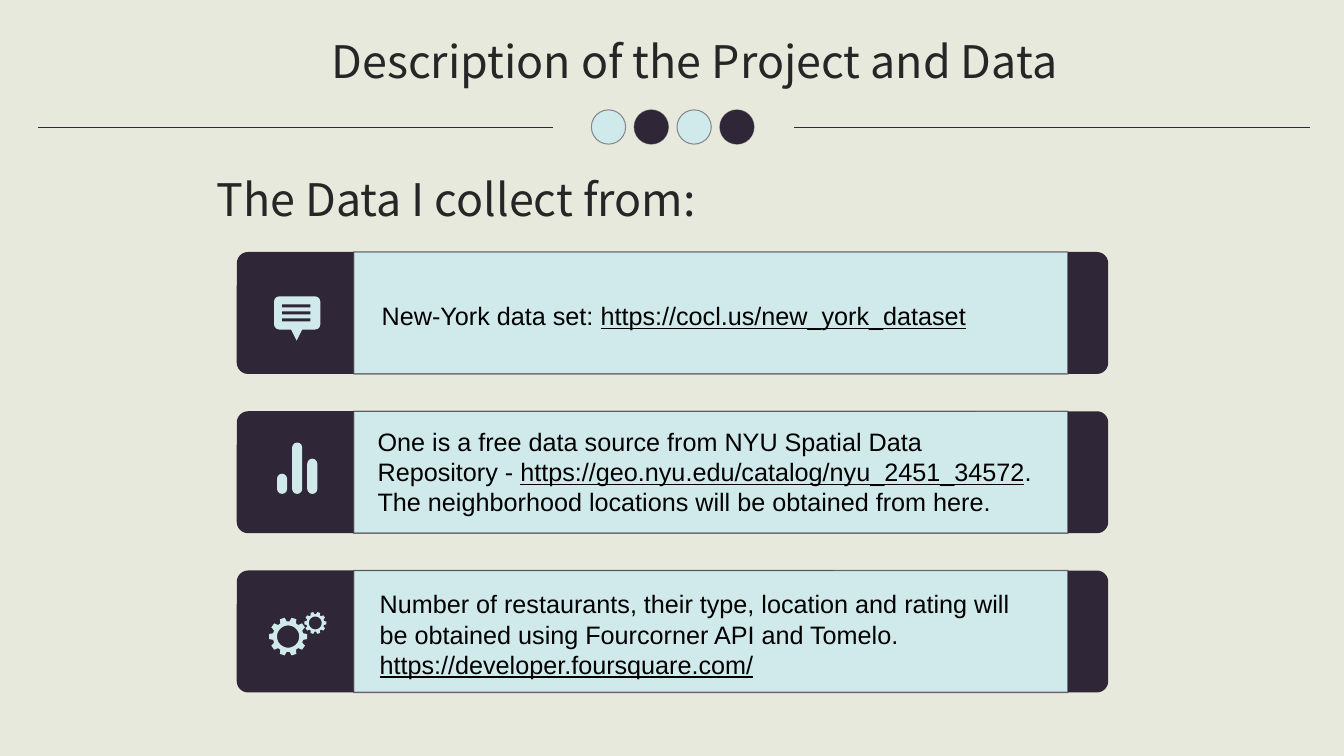
from math import cos, pi, sin

from lxml.etree import SubElement
from pptx import Presentation
from pptx.dml.color import RGBColor
from pptx.enum.shapes import MSO_CONNECTOR as Connector, MSO_SHAPE as Shape
from pptx.enum.text import MSO_ANCHOR as Anchor, PP_ALIGN as Align
from pptx.oxml.ns import qn
from pptx.util import Inches, Pt

CREAM = RGBColor(0xE7, 0xE9, 0xDC)
PLUM = RGBColor(0x2F, 0x26, 0x37)
ICE = RGBColor(0xD0, 0xEA, 0xEB)
CHARCOAL = RGBColor(0x26, 0x26, 0x26)
BLACK = RGBColor(0, 0, 0)

HEADING = {"name": "Noto Sans CJK SC", "size": Pt(32), "bold": False}
BODY = {"name": "Arial", "size": Pt(18)}


def format_font(font, values, color):
    for name, value in values.items():
        setattr(font, name, value)
    font.color.rgb = color


def paint(shape, fill, line_width=None, opacity=100):
    shape.shadow.inherit = False
    shape.fill.solid()
    shape.fill.fore_color.rgb = fill
    if line_width is None:
        shape.line.fill.background()
        return
    shape.line.color.rgb = PLUM
    shape.line.width = Pt(line_width)
    color = shape.line._ln.find(".//" + qn("a:srgbClr"))
    SubElement(color, qn("a:alpha"), val=str(opacity * 1000))


def add_block(slide, kind, box, fill, radius=None, **outline):
    shape = slide.shapes.add_shape(kind, *map(Inches, box))
    if radius is not None:
        shape.adjustments[0] = radius
    paint(shape, fill, **outline)
    return shape


def write(shape, parts, values, color):
    """Fill a text shape with (text, underlined) parts."""
    frame = shape.text_frame
    frame.word_wrap = True
    frame.vertical_anchor = Anchor.TOP
    paragraph = frame.paragraphs[0]
    paragraph.alignment = Align.LEFT
    for text, underlined in parts:
        run = paragraph.add_run()
        run.text = text
        format_font(run.font, values, color)
        if underlined:
            run.font.underline = True


def add_text(slide, box, parts, values, color):
    shape = slide.shapes.add_textbox(*map(Inches, box))
    write(shape, parts, values, color)


def add_header(slide, left, top):
    # Title
    title = slide.shapes.title
    place = {"left": left + 2.81, "top": top, "width": 7.64, "height": 0.7}
    for name, value in place.items():
        setattr(title, name, Inches(value))
    write(title, [("Description of the Project and Data", False)], HEADING, CHARCOAL)

    # Divider: a line on each side of four dots
    middle = top + 0.98
    for start, end in ((0, 5.11), (7.5, 12.62)):
        line = slide.shapes.add_connector(
            Connector.STRAIGHT, Inches(left + start), Inches(middle),
            Inches(left + end), Inches(middle))
        line.line.color.rgb = PLUM
        line.line.width = Pt(0.5)
        SubElement(line._element.spPr, qn("a:effectLst"))
    size = 0.34
    for index, color in enumerate((ICE, PLUM, ICE, PLUM)):
        box = (left + 5.49 + index * 0.425, middle - size / 2, size, size)
        add_block(slide, Shape.OVAL, box, color, line_width=0.75, opacity=50)


def add_bubble_icon(slide, left, top):
    add_block(slide, Shape.FLOWCHART_MERGE, (left + 0.53, top + 0.75, 0.13, 0.13), ICE)
    add_block(slide, Shape.ROUNDED_RECTANGLE, (left + 0.37, top + 0.44, 0.46, 0.33),
              ICE, radius=0.16)
    for row in range(3):
        add_block(slide, Shape.RECTANGLE,
                  (left + 0.45, top + 0.52 + row * 0.07, 0.28, 0.03), PLUM)


def add_bars_icon(slide, left, top):
    for index, height in enumerate((0.2, 0.51, 0.35)):
        add_block(slide, Shape.ROUNDED_RECTANGLE,
                  (left + 0.4 + index * 0.15, top + 0.82 - height, 0.1, height),
                  ICE, radius=0.5)


def add_gear(slide, center_x, center_y, radius, teeth=10):
    def point(reach, angle):
        return (Inches(center_x + radius * reach * cos(angle)),
                Inches(center_y + radius * reach * sin(angle)))

    # Each tooth has two base corners and two tip corners
    corners = ((0.8, -0.22), (1, -0.13), (1, 0.13), (0.8, 0.22))
    outline = [point(reach, 2 * pi * tooth / teeth + angle)
               for tooth in range(teeth) for reach, angle in corners]
    hole = [point(0.58, -2 * pi * step / 36) for step in range(36)]
    builder = slide.shapes.build_freeform(*outline[0], scale=1.0)
    builder.add_line_segments(outline[1:], close=True)
    builder.move_to(*hole[0])
    builder.add_line_segments(hole[1:], close=True)
    paint(builder.convert_to_shape(), ICE)


def add_gears_icon(slide, left, top):
    add_gear(slide, left + 0.51, top + 0.655, 0.19)
    add_gear(slide, left + 0.78, top + 0.52, 0.11)


def add_source_card(slide, box, add_icon, text_box, parts):
    left, top, width, height = box
    add_block(slide, Shape.ROUNDED_RECTANGLE, box, PLUM, radius=0.093)
    add_block(slide, Shape.RECTANGLE, (left + 1.16, top, width - 1.56, height), ICE,
              line_width=1, opacity=59)
    add_icon(slide, left, top)
    x, y, text_width, text_height = text_box
    add_text(slide, (left + x, top + y, text_width, text_height), parts, BODY, BLACK)


# Icon, text box relative to the card, and wording of each source
SOURCES = [
    (add_bubble_icon, (1.34, 0.43, 6.02, 0.4),
     [("New-York data set: ", False),
      ("https://cocl.us/new_york_dataset", True)]),
    (add_bars_icon, (1.3, 0.1, 6.79, 1),
     [("One is a free data source from NYU Spatial Data Repository - ", False),
      ("https://geo.nyu.edu/catalog/nyu_2451_34572", True),
      (". The neighborhood locations will be obtained from here.", False)]),
    (add_gears_icon, (1.32, 0.13, 6.5, 1),
     [("Number of restaurants, their type, location and rating will "
       "be obtained using Fourcorner API and Tomelo. ", False),
      ("https://developer.foursquare.com/", True)]),
]


def main():
    presentation = Presentation()
    presentation.slide_width = Inches(13.34)
    presentation.slide_height = Inches(7.5)
    slide = presentation.slides.add_slide(presentation.slide_layouts[5])
    slide.background.fill.solid()
    slide.background.fill.fore_color.rgb = CREAM

    add_header(slide, 0.38, 0.28)
    add_text(slide, (2.05, 1.65, 5.05, 0.64),
             [("The Data I collect from:", False)], HEADING, CHARCOAL)
    for index, source in enumerate(SOURCES):
        add_source_card(slide, (2.35, 2.5 + index * 1.58, 8.65, 1.21), *source)

    presentation.save("out.pptx")


if __name__ == "__main__":
    main()
